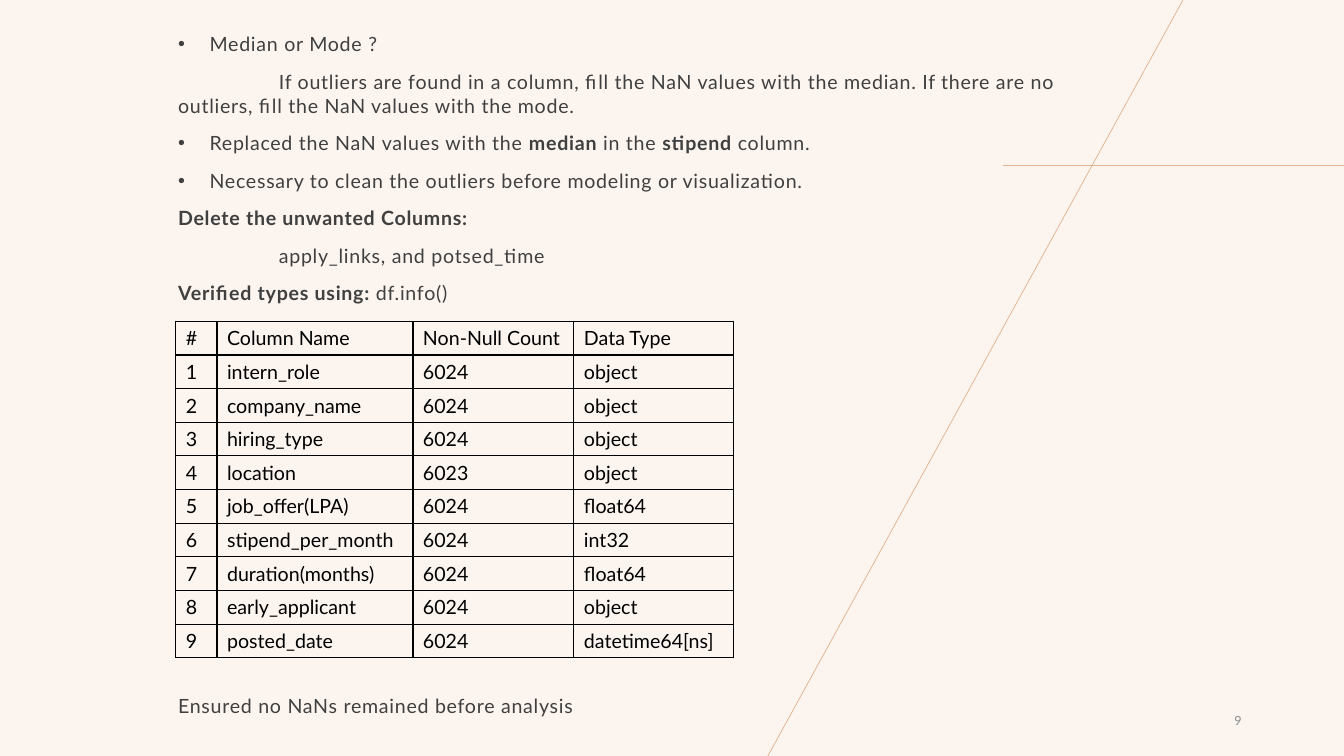
from lxml import etree
from pptx import Presentation
from pptx.dml.color import RGBColor
from pptx.enum.shapes import MSO_CONNECTOR
from pptx.enum.text import MSO_ANCHOR, MSO_AUTO_SIZE, PP_ALIGN
from pptx.oxml import parse_xml
from pptx.oxml.ns import nsdecls, qn
from pptx.util import Pt

STRAIGHT = MSO_CONNECTOR.STRAIGHT
TOP, MIDDLE = MSO_ANCHOR.TOP, MSO_ANCHOR.MIDDLE
NO_FIT = MSO_AUTO_SIZE.NONE
RIGHT = PP_ALIGN.RIGHT

FONT = "Lato"
COLORS = {"back": "FBF4EF", "line": "E2B18D", "text": "404040",
          "cell": "000000", "page": "8C8C8C"}

# Kind of paragraph, space before in points, text with *bold* parts
NOTES = [
    ("bullet", 10, "Median or Mode ?"),
    ("indent", 10, "If outliers are found in a column, fill the NaN values with "
     "the median. If there are no outliers, fill the NaN values with the mode."),
    ("bullet", 10, "Replaced the NaN values with the *median* in the *stipend* column."),
    ("bullet", 10, "Necessary to clean the outliers before modeling or visualization."),
    ("plain", 10, "*Delete the unwanted Columns:*"),
    ("indent", 10, "apply_links, and potsed_time"),
    ("plain", 10, "*Verified types using: *df.info()"),
    ("plain", 278, "Ensured no NaNs remained before analysis"),
]
# Left margin and first-line indent of each kind, in points
INDENTS = {"bullet": (22.5, -22.5), "indent": (0, 72), "plain": (0, 0)}

HEADS = ("#", "Column Name", "Non-Null Count", "Data Type")
FIELDS = [
    ("intern_role", 6024, "object"),
    ("company_name", 6024, "object"),
    ("hiring_type", 6024, "object"),
    ("location", 6023, "object"),
    ("job_offer(LPA)", 6024, "float64"),
    ("stipend_per_month", 6024, "int32"),
    ("duration(months)", 6024, "float64"),
    ("early_applicant", 6024, "object"),
    ("posted_date", 6024, "datetime64[ns]"),
]
WIDTHS = (29.5, 140, 115, 114)
ROW = 24


def color(name):
    return RGBColor.from_string(COLORS[name])


def style(run, name, size=14):
    run.font.name = FONT
    run.font.size = Pt(size)
    run.font.color.rgb = color(name)


def add_line(slide, x1, y1, x2, y2):
    line = slide.shapes.add_connector(STRAIGHT, Pt(x1), Pt(y1), Pt(x2), Pt(y2))
    line.line.color.rgb = color("line")
    line.line.width = Pt(0.5)
    etree.SubElement(line._element.spPr, qn("a:effectLst"))


def set_kind(par, kind):
    """Set the indents and the bullet of a paragraph."""
    left, first = INDENTS[kind]
    props = par._p.get_or_add_pPr()
    props.set("marL", str(Pt(left)))
    props.set("indent", str(Pt(first)))
    if kind == "bullet":
        etree.SubElement(props, qn("a:buChar")).set("char", "•")
    else:
        etree.SubElement(props, qn("a:buNone"))


def fill_notes(body):
    body.left, body.top, body.width, body.height = Pt(120), Pt(19.5), Pt(668), Pt(502)
    frame = body.text_frame
    frame.word_wrap = True
    frame.auto_size = NO_FIT
    frame.vertical_anchor = TOP
    for i, (kind, gap, text) in enumerate(NOTES):
        par = frame.add_paragraph() if i else frame.paragraphs[0]
        par.space_before = Pt(gap)
        par.line_spacing = 1.0
        set_kind(par, kind)
        for j, part in enumerate(text.split("*")):
            if part:
                run = par.add_run()
                run.text = part
                style(run, "text")
                run.font.bold = j % 2 == 1
                run.font._element.set("spc", "50")


def add_border(cell):
    props = cell._tc.get_or_add_tcPr()
    for i, side in enumerate("LRTB"):
        props.insert(i, parse_xml(
            f'<a:ln{side} {nsdecls("a")} w="{Pt(1)}"><a:solidFill>'
            f'<a:srgbClr val="{COLORS["cell"]}"/></a:solidFill></a:ln{side}>'))


def add_grid(slide, x, y):
    rows = [HEADS] + [(i, *field) for i, field in enumerate(FIELDS, 1)]
    grid = slide.shapes.add_table(len(rows), len(HEADS), Pt(x), Pt(y),
                                  Pt(sum(WIDTHS)), Pt(ROW * len(rows))).table
    grid.first_row = grid.horz_banding = False
    for col, width in zip(grid.columns, WIDTHS):
        col.width = Pt(width)
    for row, values in zip(grid.rows, rows):
        row.height = Pt(ROW)
        for cell, value in zip(row.cells, values):
            cell.text = str(value)
            cell.vertical_anchor = MIDDLE
            cell.fill.background()
            add_border(cell)
            style(cell.text_frame.paragraphs[0].runs[0], "cell")


def add_page(slide, number):
    frame = slide.shapes.add_textbox(Pt(678), Pt(500), Pt(216), Pt(29)).text_frame
    frame.word_wrap = True
    frame.vertical_anchor = MIDDLE
    frame.text = str(number)
    par = frame.paragraphs[0]
    par.alignment = RIGHT
    style(par.runs[0], "page", 9)


def main():
    deck = Presentation()
    deck.slide_width, deck.slide_height = Pt(960), Pt(540)
    slide = deck.slides.add_slide(deck.slide_layouts[1])
    back = slide.background.fill
    back.solid()
    back.fore_color.rgb = color("back")
    title = slide.shapes.title._element
    title.getparent().remove(title)

    add_line(slide, 716.5, 118, 960, 118)
    add_line(slide, 845, 0, 548.5, 540)
    fill_notes(slide.placeholders[1])
    add_grid(slide, 125.5, 229.5)
    add_page(slide, 9)
    deck.save("out.pptx")


if __name__ == "__main__":
    main()
